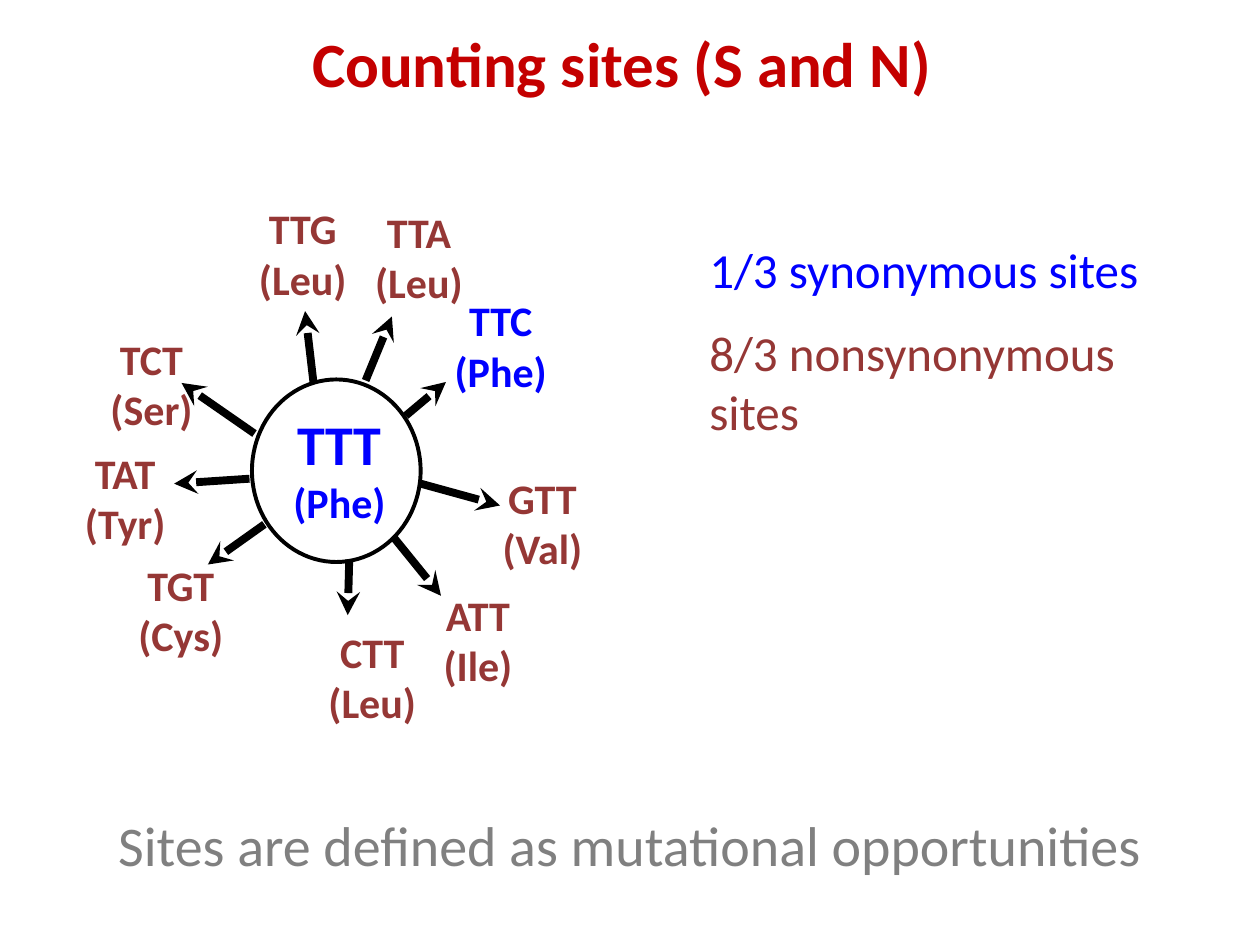
import pptx
import pptx.dml.color
import pptx.enum.shapes
import pptx.enum.text
import pptx.oxml
import pptx.oxml.ns
import pptx.util

Cm = pptx.util.Cm
Pt = pptx.util.Pt
RGBColor = pptx.dml.color.RGBColor
ALIGN = pptx.enum.text.PP_ALIGN
ANCHOR = pptx.enum.text.MSO_ANCHOR

RED = RGBColor(0xC4, 0x00, 0x00)
BLUE = RGBColor(0x00, 0x00, 0xFF)
BROWN = RGBColor(0x95, 0x37, 0x35)
GREY = RGBColor(0x80, 0x80, 0x80)
BLACK = RGBColor(0x00, 0x00, 0x00)
FONT = "Calibri"

# Content; lengths in cm
TITLE = "Counting sites (S and N)"
FOOTER = "Sites are defined as mutational opportunities"
CENTRE = ("TTT", "(Phe)")
COUNTS = [("1/3 synonymous sites", BLUE), ("8/3 nonsynonymous sites", BROWN)]

# Codon, amino acid, label corner, arrow start, arrow end
MUTANTS = [
    ("TTC", "(Phe)", (8.84, 5.82), (8.18, 8.38), (8.99, 7.70)),
    ("CTT", "(Leu)", (6.25, 12.50), (7.04, 11.28), (7.01, 12.40)),
    ("TGT", "(Cys)", (2.39, 11.15), (5.33, 10.57), (4.19, 11.38)),
    ("TAT", "(Tyr)", (1.27, 8.89), (5.03, 9.65), (3.51, 9.75)),
    ("TCT", "(Ser)", (1.80, 6.60), (5.13, 8.74), (3.66, 7.72)),
    ("TTG", "(Leu)", (4.85, 3.96), (6.32, 7.72), (6.15, 6.27)),
    ("GTT", "(Val)", (9.68, 9.40), (8.48, 9.75), (10.08, 10.19)),
    ("ATT", "(Ile)", (8.38, 11.76), (7.95, 10.85), (8.89, 12.01)),
    ("TTA", "(Leu)", (7.19, 4.04), (7.37, 7.67), (7.90, 6.38)),
]
LABEL_SIZE = (2.51, 2.31)


def add_text(page, paragraphs, area, align=ALIGN.CENTER, anchor=ANCHOR.TOP,
             bold=False, gap=0):
    """Each paragraph is a list of (text, size, colour) lines."""
    box = page.shapes.add_textbox(*map(Cm, area))
    frame = box.text_frame
    frame.word_wrap = True
    frame.vertical_anchor = anchor
    for index, lines in enumerate(paragraphs):
        para = frame.paragraphs[0] if index == 0 else frame.add_paragraph()
        para.alignment = align
        if index:
            para.space_before = Pt(gap)
        for number, (text, size, colour) in enumerate(lines):
            if number:
                para.add_line_break()
            span = para.add_run()
            span.text = text
            span.font.name = FONT
            span.font.size = Pt(size)
            span.font.bold = bold
            span.font.color.rgb = colour


def add_arrow(page, start, end):
    arrow = page.shapes.add_connector(
        pptx.enum.shapes.MSO_CONNECTOR.STRAIGHT, *map(Cm, start + end))
    arrow.line.color.rgb = BLACK
    arrow.line.width = Pt(4.5)
    outline = arrow.line._get_or_add_ln()
    head = pptx.oxml.parse_xml(
        f'<a:tailEnd {pptx.oxml.ns.nsdecls("a")} type="stealth"/>')
    outline.append(head)
    outline.addnext(pptx.oxml.parse_xml(
        f'<a:effectLst {pptx.oxml.ns.nsdecls("a")}/>'))


def main():
    deck = pptx.Presentation()
    deck.slide_width, deck.slide_height = Cm(25.4), Cm(19.05)
    page = deck.slides.add_slide(deck.slide_layouts[6])

    add_text(page, [[(TITLE, 36, RED)]], (0, 0, 25.07, 2.51),
             anchor=ANCHOR.MIDDLE, bold=True)

    # Central codon
    circle = page.shapes.add_shape(
        pptx.enum.shapes.MSO_SHAPE.OVAL, *map(Cm, (5.08, 7.65, 3.4, 3.68)))
    circle.shadow.inherit = False
    circle.fill.background()
    circle.line.color.rgb = BLACK
    circle.line.width = Pt(2.25)
    codon, amino = CENTRE
    add_text(page, [[(codon, 32, BLUE), (amino, 24, BLUE)]],
             (5.31, 8.13, 3.07, 2.64), bold=True)

    # Single-step mutants: blue when the amino acid is unchanged
    for codon, mutant_amino, corner, start, end in MUTANTS:
        colour = BLUE if mutant_amino == amino else BROWN
        add_text(page, [[(codon, 24, colour), (mutant_amino, 24, colour)]],
                 corner + LABEL_SIZE, bold=True)
        add_arrow(page, start, end)

    # Site counts and closing line
    add_text(page, [[(text, 28, colour)] for text, colour in COUNTS],
             (14.05, 4.7, 10.44, 4.45), align=ALIGN.LEFT, gap=14)
    add_text(page, [[(FOOTER, 32, GREY)]], (0, 16.21, 25.4, 1.63))

    deck.save("out.pptx")


if __name__ == "__main__":
    main()
